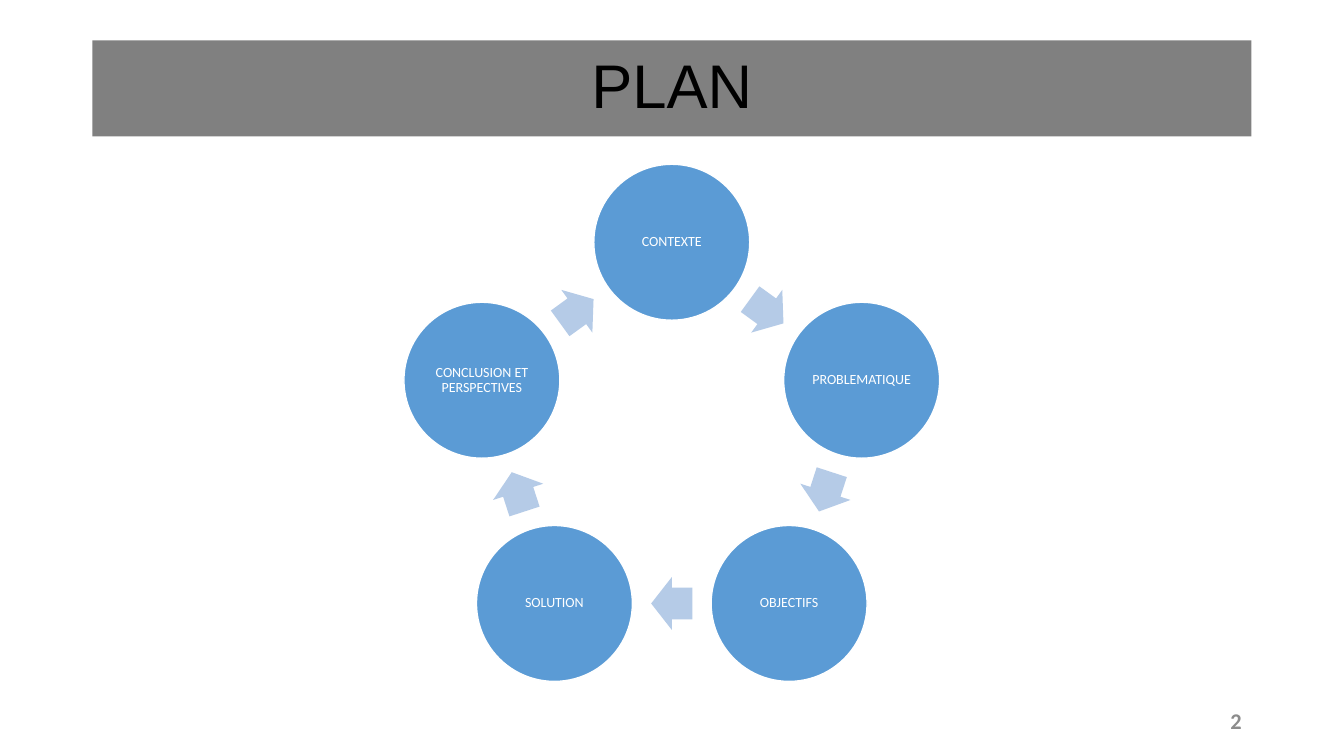
import dataclasses
import math

import pptx
import pptx.dml.color
import pptx.enum.shapes
import pptx.enum.text
import pptx.util
from pptx.util import Cm

SHAPE = pptx.enum.shapes.MSO_SHAPE
ALIGN = pptx.enum.text.PP_ALIGN
STEPS = ["CONTEXTE", "PROBLEMATIQUE", "OBJECTIFS", "SOLUTION", "CONCLUSION ET PERSPECTIVES"]


@dataclasses.dataclass(frozen=True)
class Theme:
    """Colours, fonts and type sizes of the deck."""
    band: str = "808080"
    title: str = "000000"
    circle: str = "5B9BD5"
    arrow: str = "B5CBE7"
    light: str = "FFFFFF"
    number: str = "8C8C8C"
    title_font: str = "Arial"
    body_font: str = "Calibri"
    title_size: int = 44
    step_size: int = 10
    number_size: int = 16


@dataclasses.dataclass(frozen=True)
class Box:
    """A region of the page, in centimetres."""
    left: float
    top: float
    width: float
    height: float

    def lengths(self):
        """Return the four sides as lengths."""
        return [Cm(side) for side in dataclasses.astuple(self)]


THEME = Theme()


def rgb(code):
    """Turn a hex code into a colour."""
    return pptx.dml.color.RGBColor.from_string(code)


def add_shape(page, kind, box, fill, line=None):
    """Add a flat filled shape, outlined only if a line colour is given."""
    shape = page.shapes.add_shape(kind, *box.lengths())
    shape.shadow.inherit = False
    shape.fill.solid()
    shape.fill.fore_color.rgb = rgb(fill)
    if line:
        shape.line.color.rgb = rgb(line)
        shape.line.width = pptx.util.Pt(1)
    else:
        shape.line.fill.background()
    return shape


def write(shape, text, font, size, color, align=ALIGN.CENTER, bold=False, spacing=0.9):
    """Write one vertically centred paragraph into a shape."""
    frame = shape.text_frame
    frame.word_wrap = True
    frame.vertical_anchor = pptx.enum.text.MSO_ANCHOR.MIDDLE
    para = frame.paragraphs[0]
    para.text = text
    para.alignment = align
    para.line_spacing = spacing
    para.font.name = font
    para.font.size = pptx.util.Pt(size)
    para.font.bold = bold
    para.font.color.rgb = rgb(color)
    return frame


def add_title(page, box, text):
    """Draw the title band."""
    band = add_shape(page, SHAPE.RECTANGLE, box, THEME.band)
    write(band, text, THEME.title_font, THEME.title_size, THEME.title)


def add_cycle(page, box, steps, circle=3.93, arrow_width=1.04, arrow_height=1.33):
    """Draw the steps clockwise on a ring, with an arrow between neighbours."""
    turn = 360 / len(steps)
    radius = (box.width - circle) / 2 / math.sin(math.radians(turn))
    arrow_radius = radius * math.cos(math.radians(turn / 2))
    center_x = box.left + box.width / 2
    center_y = box.top + circle / 2 + radius

    def place(angle, distance, width, height):
        """Return a box centred on the ring, at an angle clockwise from the top."""
        x = center_x + distance * math.sin(math.radians(angle))
        y = center_y - distance * math.cos(math.radians(angle))
        return Box(x - width / 2, y - height / 2, width, height)

    for index, step in enumerate(steps):
        angle = index * turn
        disc = add_shape(page, SHAPE.OVAL, place(angle, radius, circle, circle),
                         THEME.circle, THEME.light)
        frame = write(disc, step, THEME.body_font, THEME.step_size, THEME.light)
        frame.margin_left = frame.margin_right = Cm(0.03)
        frame.margin_top = frame.margin_bottom = Cm(0.03)

        middle = angle + turn / 2
        arrow = add_shape(page, SHAPE.RIGHT_ARROW,
                          place(middle, arrow_radius, arrow_width, arrow_height), THEME.arrow)
        arrow.adjustments[0] = 0.6
        arrow.adjustments[1] = 0.5
        arrow.rotation = middle


def add_number(page, box, number):
    """Write the page number."""
    label = page.shapes.add_textbox(*box.lengths())
    write(label, str(number), THEME.body_font, THEME.number_size, THEME.number,
          ALIGN.RIGHT, bold=True, spacing=1.0)


def main():
    """Build and save the deck."""
    deck = pptx.Presentation()
    deck.slide_width, deck.slide_height = Cm(33.87), Cm(19.05)
    page = deck.slides.add_slide(deck.slide_layouts[6])
    add_title(page, Box(2.33, 1.02, 29.21, 2.42), "PLAN")
    add_cycle(page, Box(10.18, 4.14, 13.5, 13.12), STEPS)
    add_number(page, Box(23.92, 17.65, 7.62, 1.02), 2)
    deck.save("out.pptx")


if __name__ == "__main__":
    main()
